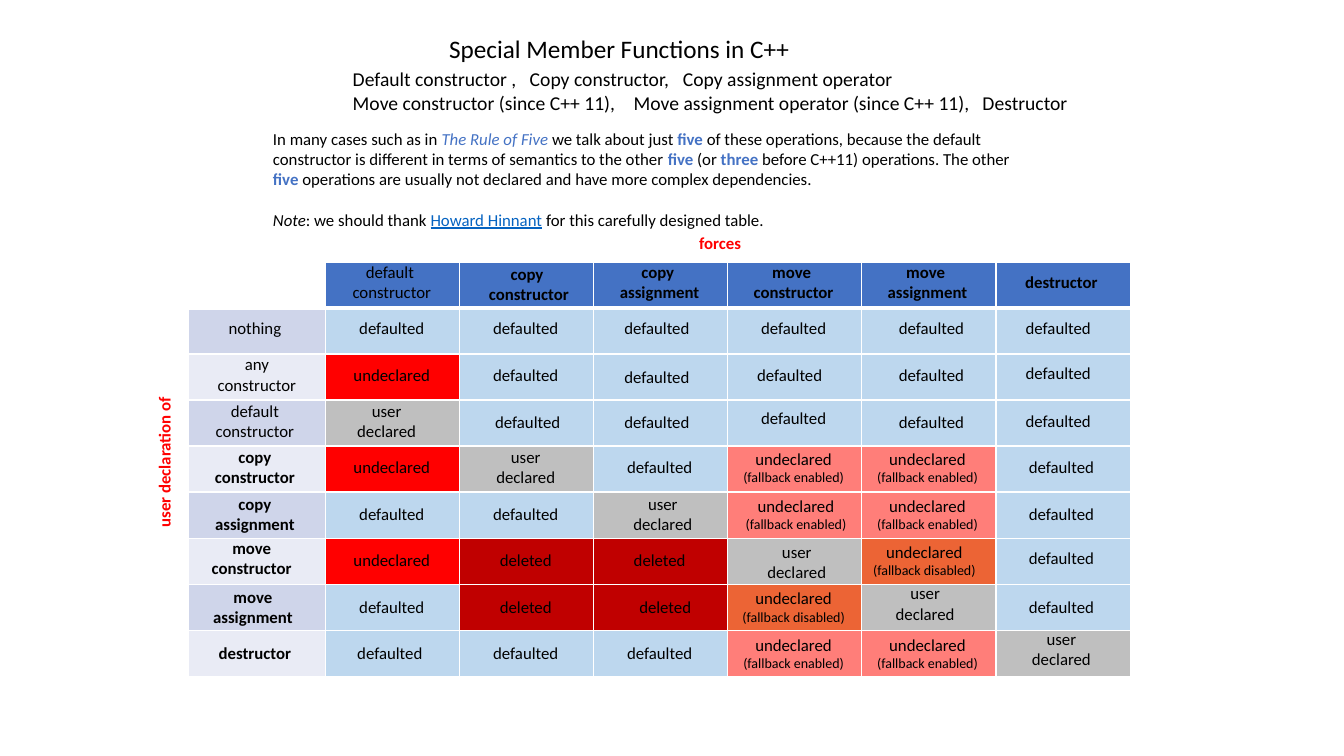
from lxml import etree
from pptx import Presentation
from pptx.dml.color import RGBColor
from pptx.enum.text import MSO_AUTO_SIZE, PP_ALIGN
from pptx.oxml.ns import qn
from pptx.util import Cm, Pt

LEFT, CENTER = PP_ALIGN.LEFT, PP_ALIGN.CENTER
GROW = MSO_AUTO_SIZE.SHAPE_TO_FIT_TEXT

COLORS = {
    "white": "FFFFFF", "black": "000000", "header": "4472C4", "accent": "4472C4",
    "link": "0563C1", "label": "FF0000", "odd": "CFD5EA", "even": "E9EBF5",
    "defaulted": "BDD7EE", "undeclared": "FF0000", "declared": "BFBFBF",
    "enabled": "FF7E79", "disabled": "EC6435", "deleted": "C00000",
}

# Table content: one letter per cell, explained in STATES
HEADERS = [["default ", "constructor"], ["copy ", "constructor"],
           ["copy ", "assignment"], ["move ", "constructor"],
           ["move ", "assignment"], ["destructor"]]
ROWS = [
    (["nothing"], "DDDDDD"),
    (["any", "constructor"], "UDDDDD"),
    (["default", "constructor"], "RDDDDD"),
    (["copy", "constructor"], "URDFFD"),
    (["copy", "assignment"], "DDRFFD"),
    (["move", "constructor"], "UKKRXD"),
    (["move", "assignment"], "DKKXRD"),
    (["destructor"], "DDDFFR"),
]
STATES = {
    "D": ("defaulted", ["defaulted"]),
    "U": ("undeclared", ["undeclared"]),
    "R": ("declared", ["user", "declared"]),
    "K": ("deleted", ["deleted"]),
    "F": ("enabled", ["undeclared", "(fallback enabled)"]),
    "X": ("disabled", ["undeclared", "(fallback disabled)"]),
}
REGULAR_ROWS = 3  # nothing, any constructor and default constructor are not bold

# Geometry in centimetres
TABLE_LEFT, TABLE_TOP = 4.75, 6.6
LABEL_WIDTH, COLUMN_WIDTH, ROW_HEIGHT = 3.45, 3.38, 1.16
TEXT_LEFT, TEXT_MIDDLE, TEXT_PITCH, TEXT_WIDTH = 8.2, 7.1, 1.17, 3.35
BOX_HEIGHTS = {"one": 0.77, "two": 1.28, "small": 1.19}

# Manual shifts (right, down) of single cell texts, by (row, column)
SHIFTS = {
    (0, 2): (0.08, 0.05), (1, 3): (-0.07, 0), (1, 5): (0.1, 0), (1, 6): (-0.08, 0),
    (2, 0): (0.05, 0), (2, 3): (-0.07, 0.05), (2, 4): (-0.1, 0), (2, 5): (0.1, 0),
    (2, 6): (-0.08, -0.05), (3, 1): (-0.13, 0), (3, 2): (0.05, 0.03),
    (3, 3): (-0.07, 0.03), (3, 4): (0, -0.07), (3, 5): (0.1, 0.03), (3, 6): (-0.08, 0),
    (5, 3): (0.08, 0), (5, 4): (0.06, 0), (6, 0): (-0.08, -0.05), (6, 4): (0.08, 0.05),
    (6, 5): (-0.08, 0), (6, 6): (0, -0.07), (7, 0): (-0.05, 0), (7, 3): (0.14, 0),
    (7, 5): (-0.06, -0.08), (8, 1): (-0.05, 0), (8, 6): (0, -0.1),
}


def rgb(name):
    return RGBColor.from_string(COLORS[name])


def add_run(paragraph, text, color="black", **formats):
    run = paragraph.add_run()
    run.text = text
    values = {"name": "Calibri", "size": Pt(12), **formats}
    for attribute, value in values.items():
        setattr(run.font, attribute, value)
    run.font.color.rgb = rgb(color)


def add_text(slide, left, top, width, height, paragraphs, align=LEFT, rotation=0):
    """Each paragraph is a list of (text, formats) runs."""
    shape = slide.shapes.add_textbox(Cm(left), Cm(top), Cm(width), Cm(height))
    shape.rotation = rotation
    frame = shape.text_frame
    frame.word_wrap = True
    frame.auto_size = GROW
    for index, runs in enumerate(paragraphs):
        paragraph = frame.add_paragraph() if index else frame.paragraphs[0]
        paragraph.alignment = align
        for text, formats in runs:
            add_run(paragraph, text, **formats)
    return frame


def set_tab_stops(paragraph, positions):
    tab_list = etree.SubElement(paragraph._p.get_or_add_pPr(), qn("a:tabLst"))
    for position in positions:
        etree.SubElement(tab_list, qn("a:tab"), pos=str(Cm(position)), algn="l")


def style_cell(cell, fill, top=1, bottom=1):
    properties = cell._tc.get_or_add_tcPr()
    for side, width in (("L", 1), ("R", 1), ("T", top), ("B", bottom)):
        line = etree.SubElement(properties, qn(f"a:ln{side}"), w=str(Pt(width)))
        solid = etree.SubElement(line, qn("a:solidFill"))
        etree.SubElement(solid, qn("a:srgbClr"), val=COLORS["white"])
    cell.fill.solid()
    cell.fill.fore_color.rgb = rgb(fill)


def add_grid(slide):
    row_count, column_count = len(ROWS) + 1, len(HEADERS) + 1
    width = LABEL_WIDTH + COLUMN_WIDTH * len(HEADERS)
    table = slide.shapes.add_table(
        row_count, column_count, Cm(TABLE_LEFT), Cm(TABLE_TOP),
        Cm(width), Cm(ROW_HEIGHT * row_count)).table
    table.first_row = table.horz_banding = False
    for index, column in enumerate(table.columns):
        column.width = Cm(COLUMN_WIDTH if index else LABEL_WIDTH)
    for row in table.rows:
        row.height = Cm(ROW_HEIGHT)
    for column in range(column_count):
        style_cell(table.cell(0, column), "header" if column else "white", bottom=3)
    for row, (_, states) in enumerate(ROWS, 1):
        fills = ["odd" if row % 2 else "even"] + [STATES[state][0] for state in states]
        for column, fill in enumerate(fills):
            style_cell(table.cell(row, column), fill, top=3 if row == 1 else 1)


def add_cell_text(slide, row, column, lines, bold=False):
    """Centre a caption on its table cell."""
    right, down = SHIFTS.get((row, column), (0, 0))
    left = TEXT_LEFT + (column - 1) * 3.375 if column else TABLE_LEFT
    has_fallback = lines[-1].startswith("(")
    kind = "small" if has_fallback else "two" if len(lines) == 2 else "one"
    height = BOX_HEIGHTS[kind]
    top = TEXT_MIDDLE + row * TEXT_PITCH - height / 2
    paragraphs = [[(line, {"bold": bold, "size": Pt(10 if line[0] == "(" else 12)})]
                  for line in lines]
    add_text(slide, left + right, top + down, TEXT_WIDTH, height, paragraphs, CENTER)


def add_captions(slide):
    for column, lines in enumerate(HEADERS, 1):
        add_cell_text(slide, 0, column, lines, bold=column > 1)
    for row, (label, states) in enumerate(ROWS, 1):
        add_cell_text(slide, row, 0, label, bold=row > REGULAR_ROWS)
        for column, state in enumerate(states, 1):
            add_cell_text(slide, row, column, STATES[state][1])


def add_heading(slide):
    add_text(slide, 11.07, 0.71, 9.2, 1.02,
             [[("Special Member Functions in C++", {"size": Pt(18)})]])
    functions = [
        ("Default constructor ,\tCopy constructor,\tCopy assignment operator",
         (4.46, 8.32)),
        ("Move constructor (since C++ 11),\tMove assignment operator (since C++ 11),"
         "\tDestructor", (7.08, 15.87)),
    ]
    frame = add_text(slide, 8.64, 1.57, 19.84, 1.45,
                     [[(text, {"size": Pt(14)})] for text, _ in functions])
    for paragraph, (_, stops) in zip(frame.paragraphs, functions):
        set_tab_stops(paragraph, stops)


def add_introduction(slide):
    strong = {"color": "accent", "bold": True}
    frame = add_text(slide, 6.63, 3.12, 19.76, 2.82, [
        [("In many cases such as in ", {}),
         ("The Rule of Five ", {"color": "accent", "italic": True}),
         ("we talk about just ", {}), ("five", strong),
         (" of these operations, because the default constructor is different "
          "in terms of semantics to the other ", {}),
         ("five", strong), (" (or ", {}), ("three", strong),
         (" before C++11) operations. The other ", {}), ("five", strong),
         (" operations are usually not declared and have more complex dependencies.", {})],
        [("Note", {"italic": True}), (": we should thank ", {}),
         ("Howard Hinnant", {"color": "link", "underline": True}),
         (" for this carefully designed table.", {})],
    ])
    frame.paragraphs[1].space_before = Pt(14.6)


def main():
    presentation = Presentation()
    presentation.slide_width, presentation.slide_height = Cm(33.87), Cm(19.05)
    slide = presentation.slides.add_slide(presentation.slide_layouts[6])

    # Title and explanation
    add_heading(slide)
    add_introduction(slide)

    # Table with its captions
    add_grid(slide)
    add_captions(slide)

    # Axis labels
    axis = {"color": "label", "bold": True}
    add_text(slide, 17.37, 5.74, 1.83, 0.77, [[("forces", axis)]])
    add_text(slide, 2.16, 11.18, 3.96, 0.77, [[("user declaration of", axis)]],
             rotation=270)

    presentation.save("out.pptx")


if __name__ == "__main__":
    main()
